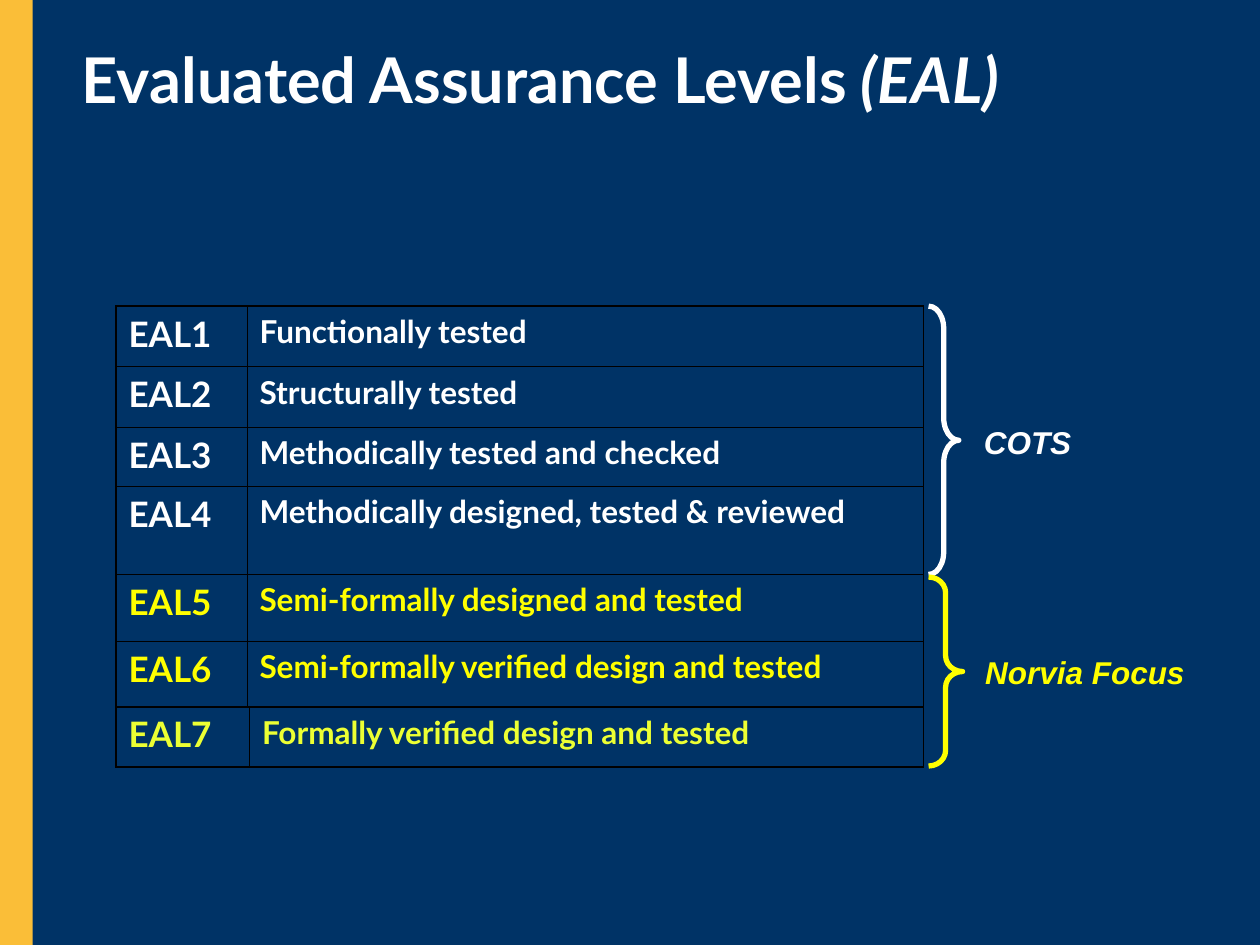
from lxml import etree
from pptx import Presentation
from pptx.dml.color import RGBColor
from pptx.enum.shapes import MSO_SHAPE
from pptx.enum.text import MSO_ANCHOR, PP_ALIGN
from pptx.oxml.ns import qn
from pptx.util import Inches, Pt

RECT, BRACE = MSO_SHAPE.RECTANGLE, MSO_SHAPE.RIGHT_BRACE
MIDDLE, LEFT = MSO_ANCHOR.MIDDLE, PP_ALIGN.LEFT
NAVY, GOLD, WHITE, YELLOW, LIME = "003366", "FABE38", "FFFFFF", "FFFF00", "ECFF33"


def rgb(color):
    return RGBColor.from_string(color)


def border(cell, side, width):
    """Draw one black edge of a cell; side is L, R, T or B."""
    line = etree.SubElement(cell._tc.get_or_add_tcPr(), qn("a:ln" + side), w=str(Pt(width)))
    fill = etree.SubElement(line, qn("a:solidFill"))
    etree.SubElement(fill, qn("a:srgbClr"), val="000000")


deck = Presentation()
deck.slide_width, deck.slide_height = Inches(10), Inches(7.5)
slide = deck.slides.add_slide(deck.slide_layouts[5])
slide.background.fill.solid()
slide.background.fill.fore_color.rgb = rgb(NAVY)
shapes = slide.shapes

bar = shapes.add_shape(RECT, 0, 0, Inches(0.26), deck.slide_height)
bar.shadow.inherit = False
bar.fill.solid()
bar.fill.fore_color.rgb = rgb(GOLD)
bar.line.fill.background()

# Title
title = shapes.title
title.left, title.top = Inches(0.55), 0
title.width, title.height = Inches(9.64), Inches(1.25)
title.text_frame.vertical_anchor = MIDDLE
para = title.text_frame.paragraphs[0]
para.alignment = LEFT
para.font.name, para.font.size, para.font.bold = "Lato", Pt(36), True
para.font.color.rgb = rgb(WHITE)
para.add_run().text = "Evaluated Assurance Levels"
term = para.add_run()
term.text = " (EAL)"
term.font.italic = True

# Level tables: top, first column width, colour, filled, rows of (height, text)
groups = [
    (2.43, 1.04, WHITE, False, [
        (0.48, "Functionally tested"),
        (0.48, "Structurally tested"),
        (0.47, "Methodically tested and checked"),
        (0.7, "Methodically designed, tested & reviewed")]),
    (4.56, 1.04, YELLOW, True, [
        (0.53, "Semi-formally designed and tested"),
        (0.52, "Semi-formally verified design and tested")]),
    (5.61, 1.06, LIME, True, [
        (0.48, "Formally verified design and tested")]),
]
WIDTH = 6.41
level = 0
for top, first, color, filled, rows in groups:
    height = sum(row[0] for row in rows)
    table = shapes.add_table(len(rows), 2, Inches(0.92), Inches(top),
                             Inches(WIDTH), Inches(height)).table
    table.first_row = table.horz_banding = False
    table.columns[0].width = Inches(first)
    table.columns[1].width = Inches(WIDTH - first)
    for r, (tall, text) in enumerate(rows):
        level += 1
        table.rows[r].height = Inches(tall)
        for c, (words, size) in enumerate([(f"EAL{level}", 20), (text, 18)]):
            cell = table.cell(r, c)
            outer = {"L": c == 0, "R": c == 1, "T": r == 0, "B": r == len(rows) - 1}
            for side, edge in outer.items():
                border(cell, side, 1.08 if edge else 0.45)
            if filled:
                cell.fill.solid()
                cell.fill.fore_color.rgb = rgb(NAVY)
            else:
                cell.fill.background()
            cell.text = words
            para = cell.text_frame.paragraphs[0]
            para.space_before = Pt(size / 4)
            para.font.name, para.font.size, para.font.bold = "Lato", Pt(size), True
            para.font.color.rgb = rgb(color)

# Braces with labels: brace top, width, height, curve, label left, top, width
marks = [
    ("COTS", WHITE, 2.43, 0.24, 2.13, 0.74, 7.71, 3.31, 2.29),
    ("Norvia Focus", YELLOW, 4.58, 0.27, 1.5, 0.46, 7.72, 5.13, 2.31),
]
for text, color, top, width, height, curve, left, high, wide in marks:
    brace = shapes.add_shape(BRACE, Inches(7.37), Inches(top), Inches(width), Inches(height))
    brace.shadow.inherit = False
    brace.adjustments[0] = curve
    brace.fill.background()
    brace.line.color.rgb = rgb(color)
    brace.line.width = Pt(3)

    label = shapes.add_textbox(Inches(left), Inches(high), Inches(wide), Inches(0.4))
    label.text_frame.word_wrap = True
    para = label.text_frame.paragraphs[0]
    para.text = text
    para.font.name, para.font.size = "Arial", Pt(18)
    para.font.bold = para.font.italic = True
    para.font.color.rgb = rgb(color)

deck.save("out.pptx")
